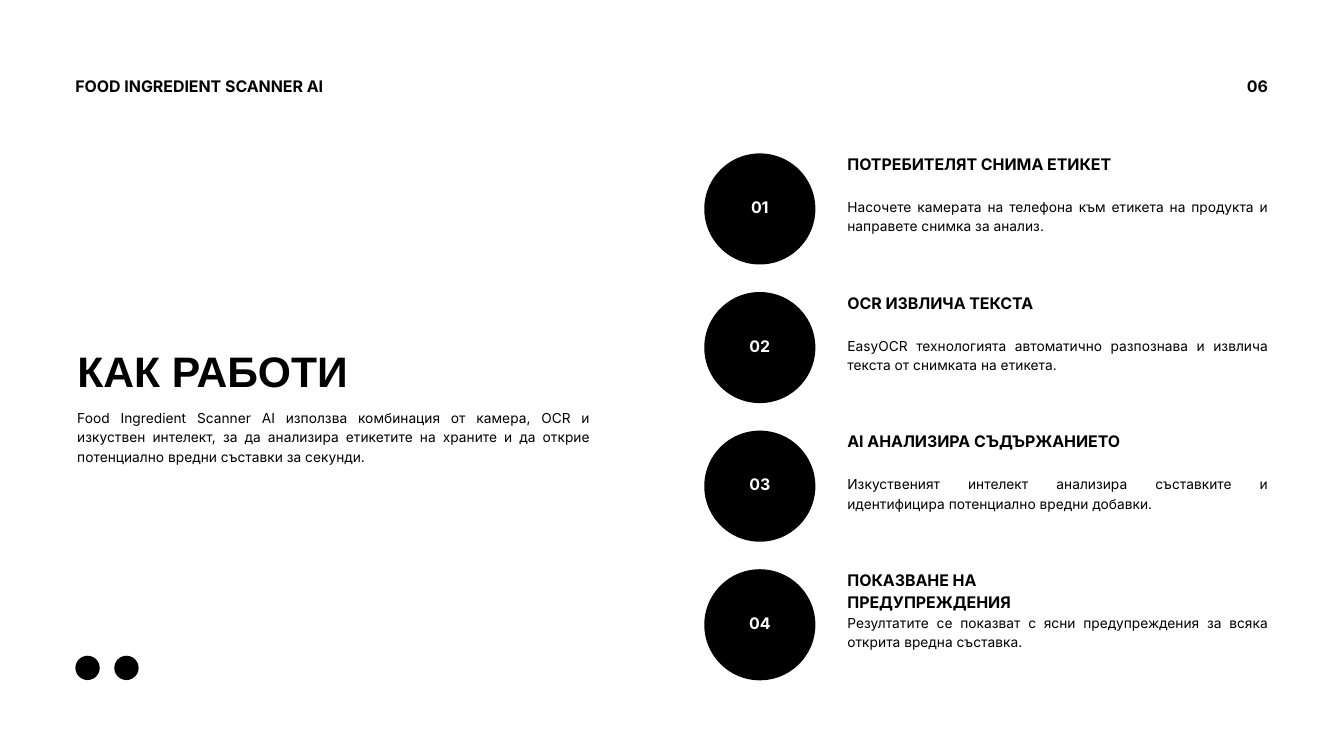
from pptx import Presentation
from pptx.dml.color import RGBColor
from pptx.enum.shapes import MSO_SHAPE
from pptx.enum.text import MSO_ANCHOR, MSO_AUTO_SIZE, PP_ALIGN
from pptx.util import Cm, Pt

COLORS = {"ink": "000000", "paper": "FFFFFF"}
HEAD = {"size": 17.1, "line": 24, "bold": True}
BODY = {"size": 14.7, "line": 20.6, "align": PP_ALIGN.JUSTIFY}
STEPS = [
    ("ПОТРЕБИТЕЛЯТ СНИМА ЕТИКЕТ",
     "Насочете камерата на телефона към етикета на продукта и направете снимка за анализ."),
    ("OCR ИЗВЛИЧА ТЕКСТА",
     "EasyOCR технологията автоматично разпознава и извлича текста от снимката на етикета."),
    ("AI АНАЛИЗИРА СЪДЪРЖАНИЕТО",
     "Изкуственият интелект анализира съставките и идентифицира потенциално вредни добавки."),
    ("ПОКАЗВАНЕ НА ПРЕДУПРЕЖДЕНИЯ",
     "Резултатите се показват с ясни предупреждения за всяка открита вредна съставка."),
]

deck = Presentation()
deck.slide_width, deck.slide_height = Cm(50.8), Cm(28.58)
slide = deck.slides.add_slide(deck.slide_layouts[5])
shapes = slide.shapes


def write(text, box=None, shape=None, size=14.7, line=20.6, bold=False,
          font="Inter", color="ink", align=PP_ALIGN.LEFT,
          anchor=MSO_ANCHOR.TOP, foot=0):
    if shape is None:
        shape = shapes.add_textbox(*map(Cm, box))
    frame = shape.text_frame
    frame.word_wrap = True
    frame.auto_size = MSO_AUTO_SIZE.NONE
    frame.vertical_anchor = anchor
    frame.margin_left = frame.margin_top = frame.margin_right = 0
    frame.margin_bottom = Cm(foot)
    frame.text = text
    para = frame.paragraphs[0]
    para.alignment = align
    para.line_spacing = Pt(line)
    para.space_before = Pt(0)
    face = para.runs[0].font
    face.name, face.size, face.bold = font, Pt(size), bold
    face.color.rgb = RGBColor.from_string(COLORS[color])


def disc(left, top, size):
    shape = shapes.add_shape(MSO_SHAPE.OVAL, Cm(left), Cm(top), Cm(size), Cm(size))
    shape.shadow.inherit = False
    shape.fill.solid()
    shape.fill.fore_color.rgb = RGBColor.from_string(COLORS["ink"])
    shape.line.fill.background()
    return shape


title = shapes.title
title.left, title.top, title.width, title.height = map(Cm, (2.92, 12.7, 18.54, 2.16))
write("КАК РАБОТИ", shape=title, size=45.7, line=64, bold=True, font="Arial")
write("Food Ingredient Scanner AI използва комбинация от камера, OCR и изкуствен "
      "интелект, за да анализира етикетите на храните и да открие потенциално "
      "вредни съставки за секунди.", (2.92, 15.39, 19.38, 2.11), **BODY)
write("FOOD INGREDIENT SCANNER AI", (2.85, 2.77, 9.75, 0.81), **HEAD)
write("06", (44.07, 2.77, 3.86, 0.81), align=PP_ALIGN.RIGHT, **HEAD)

for row, (head, body) in enumerate(STEPS):
    top = 5.72 + row * 5.24
    write(f"{row + 1:02}", shape=disc(26.62, top + 0.08, 4.2), color="paper",
          align=PP_ALIGN.CENTER, anchor=MSO_ANCHOR.MIDDLE, foot=0.24, **HEAD)
    write(head, (32.03, top, 11.02, 0.81), **HEAD)
    write(body, (32.03, top + 1.7, 15.9, 1.4), **BODY)

for spot in range(2):
    disc(2.85 + spot * 1.47, 24.79, 0.92)

deck.save("out.pptx")
